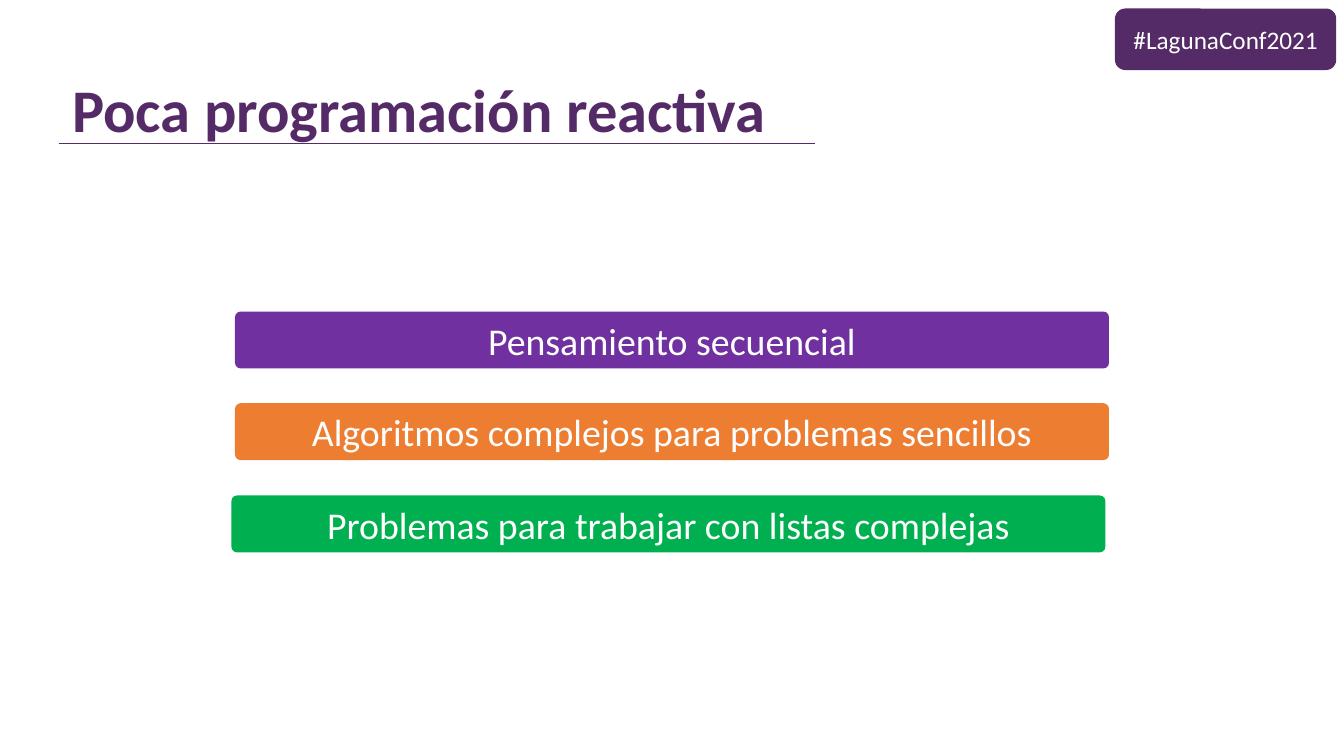
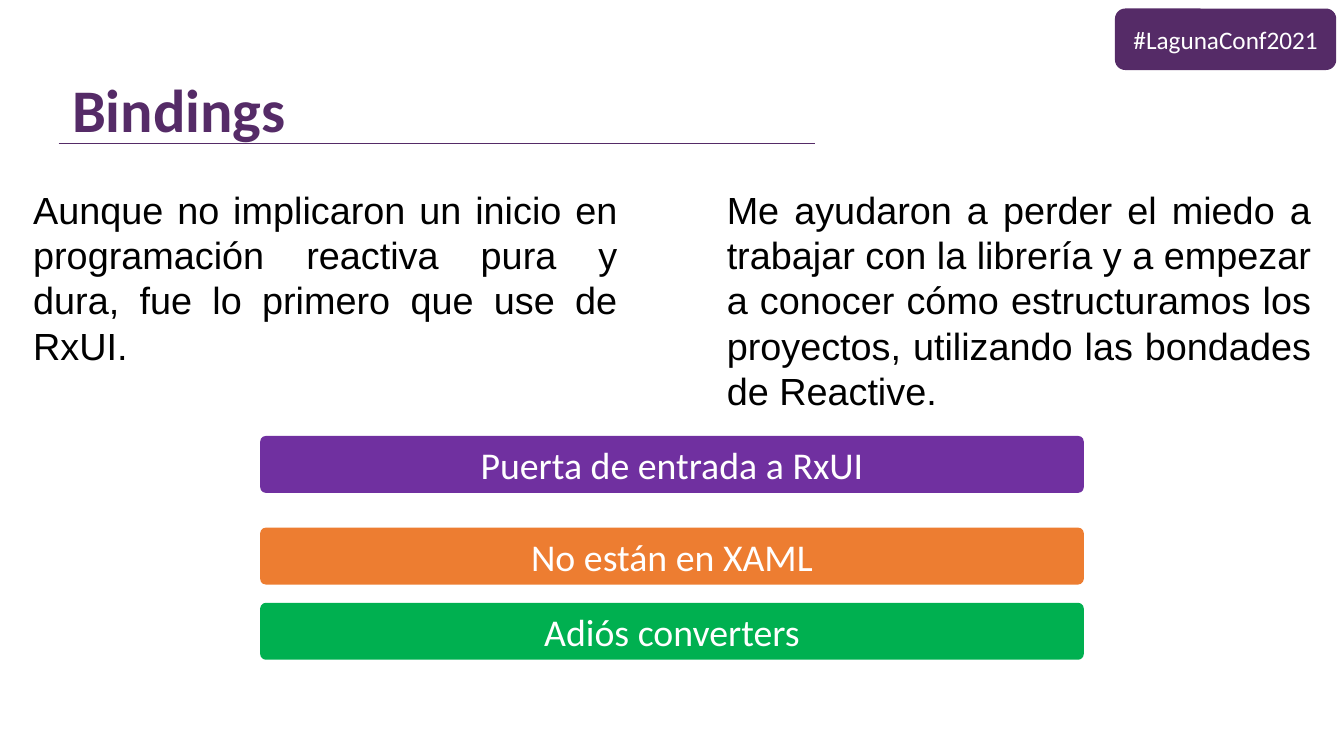
from dataclasses import dataclass

from lxml import etree
from pptx import Presentation
from pptx.dml.color import RGBColor
from pptx.enum.shapes import MSO_CONNECTOR, MSO_SHAPE
from pptx.enum.text import MSO_ANCHOR, MSO_AUTO_SIZE, PP_ALIGN
from pptx.oxml.ns import qn
from pptx.util import Cm, Pt

STRAIGHT = MSO_CONNECTOR.STRAIGHT
ROUNDED = MSO_SHAPE.ROUNDED_RECTANGLE
MIDDLE, BOTTOM, TOP = MSO_ANCHOR.MIDDLE, MSO_ANCHOR.BOTTOM, MSO_ANCHOR.TOP
CENTER, LEFT, JUSTIFY = PP_ALIGN.CENTER, PP_ALIGN.LEFT, PP_ALIGN.JUSTIFY
FIT_SHAPE = MSO_AUTO_SIZE.SHAPE_TO_FIT_TEXT
BLANK_LAYOUT = 6


@dataclass(frozen=True)
class Theme:
    brand: RGBColor = RGBColor(0x55, 0x2B, 0x67)
    white: RGBColor = RGBColor(0xFF, 0xFF, 0xFF)
    black: RGBColor = RGBColor(0, 0, 0)
    bars: tuple = (
        RGBColor(0x70, 0x30, 0xA0),
        RGBColor(0xED, 0x7D, 0x31),
        RGBColor(0x00, 0xB0, 0x50),
    )
    heading_font: str = "Calibri"
    body_font: str = "Arial"
    title_size: float = 86.4
    text_size: float = 54
    badge_size: float = 36


THEME = Theme()
BAR_HEIGHT = 2.87
BAR_ROUNDING = 0.1
BADGE_ROUNDING = 0.1667
COLUMN_LEFTS = (1.42, 36.37)
COLUMN_TOP = 9.27
COLUMN_WIDTH = 29.95


def lengths(*values):
    return [Cm(value) for value in values]


def apply_format(target, values):
    for name, value in values.items():
        setattr(target, name, value)


def write_text(shape, text, size, color, font=THEME.heading_font, bold=False,
               align=CENTER, anchor=MIDDLE, spacing=None):
    frame = shape.text_frame
    apply_format(frame, {"word_wrap": True, "vertical_anchor": anchor})
    paragraph = frame.paragraphs[0]
    apply_format(paragraph, {"alignment": align, "line_spacing": spacing})
    run = paragraph.add_run()
    run.text = text
    apply_format(run.font, {"name": font, "size": Pt(size), "bold": bold})
    run.font.color.rgb = color


def add_rounded_box(slide, box, text, size, fill, rounding):
    shape = slide.shapes.add_shape(ROUNDED, *lengths(*box))
    shape.adjustments[0] = rounding
    shape.shadow.inherit = False
    shape.fill.solid()
    shape.fill.fore_color.rgb = fill
    shape.line.fill.background()
    write_text(shape, text, size, THEME.white)


def add_title(slide, text):
    title = slide.shapes.add_textbox(*lengths(3.38, 3.58, 47.98, 3.89))
    write_text(title, text, THEME.title_size, THEME.brand, bold=True,
               align=LEFT, anchor=BOTTOM, spacing=0.9)


def add_title_rule(slide):
    rule = slide.shapes.add_connector(STRAIGHT, *lengths(2.95, 7.21, 41.05, 7.21))
    rule.line.color.rgb = THEME.brand
    rule.line.width = Pt(0.5)
    etree.SubElement(rule._element.spPr, qn("a:effectLst"))


def add_badge(slide):
    add_rounded_box(slide, (56.18, 0.43, 11.15, 3.1), "#LagunaConf2021",
                    THEME.badge_size, THEME.brand, BADGE_ROUNDING)


def add_bars(slide, width, bars):
    for (left, top, text), color in zip(bars, THEME.bars):
        add_rounded_box(slide, (left, top, width, BAR_HEIGHT), text,
                        THEME.text_size, color, BAR_ROUNDING)


def add_columns(slide, columns):
    for left, (height, text) in zip(COLUMN_LEFTS, columns):
        column = slide.shapes.add_textbox(
            *lengths(left, COLUMN_TOP, COLUMN_WIDTH, height))
        write_text(column, text, THEME.text_size, THEME.black,
                   font=THEME.body_font, align=JUSTIFY, anchor=TOP)
        column.text_frame.auto_size = FIT_SHAPE


def add_content_slide(presentation, title, bar_width, bars, columns=()):
    slide = presentation.slides.add_slide(presentation.slide_layouts[BLANK_LAYOUT])
    add_title_rule(slide)
    add_title(slide, title)
    add_bars(slide, bar_width, bars)
    add_columns(slide, columns)
    add_badge(slide)


def main():
    presentation = Presentation()
    apply_format(presentation, {"slide_width": Cm(67.72), "slide_height": Cm(38.1)})
    add_content_slide(presentation, "Poca programación reactiva", 44.04, (
        (11.84, 15.7, "Pensamiento secuencial"),
        (11.84, 20.32, "Algoritmos complejos para problemas sencillos"),
        (11.66, 24.97, "Problemas para trabajar con listas complejas"),
    ))
    add_content_slide(presentation, "Bindings", 41.5, (
        (13.11, 21.97, "Puerta de entrada a RxUI"),
        (13.11, 26.59, "No están en XAML"),
        (13.11, 30.38, "Adiós converters"),
    ), (
        (7.19, "Aunque no implicaron un inicio en programación reactiva pura y "
               "dura, fue lo primero que use de RxUI."),
        (11.79, "Me ayudaron a perder el miedo a trabajar con la librería y a "
                "empezar a conocer cómo estructuramos los proyectos, utilizando "
                "las bondades de Reactive."),
    ))
    presentation.save("out.pptx")


if __name__ == "__main__":
    main()
